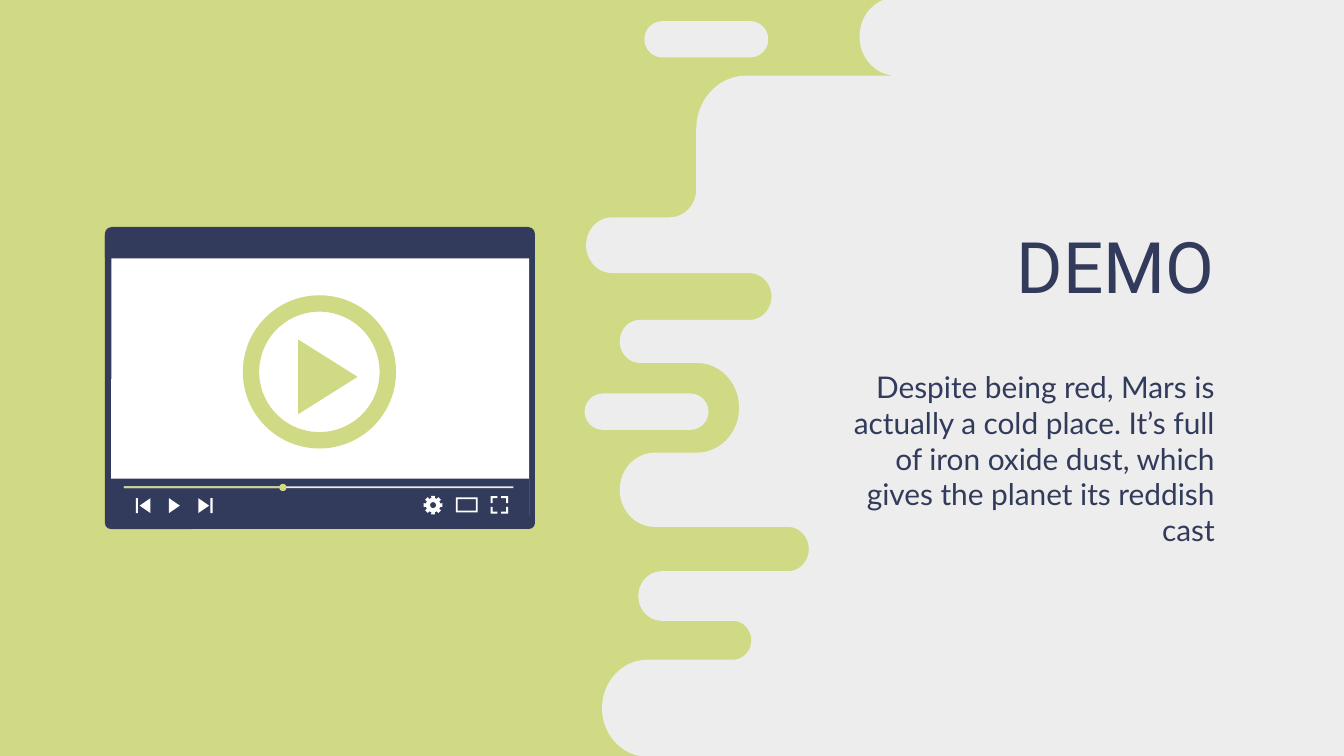
from math import cos, pi, sin
from pptx import Presentation
from pptx.dml.color import RGBColor
from pptx.enum import shapes as kinds, text as txt
from pptx.util import Pt

LIME = RGBColor(0xD0, 0xDA, 0x84)
GRAY = RGBColor(0xED, 0xED, 0xED)
NAVY = RGBColor(0x32, 0x3B, 0x5B)
WHITE = RGBColor(0xFF, 0xFF, 0xFF)
KIND = kinds.MSO_SHAPE

deck = Presentation()
deck.slide_width, deck.slide_height = Pt(720), Pt(405)
slide = deck.slides.add_slide(deck.slide_layouts[0])
slide.background.fill.solid()
slide.background.fill.fore_color.rgb = LIME


def paint(shape, color):
    shape.shadow.inherit = False
    shape.fill.solid()
    shape.fill.fore_color.rgb = color
    shape.line.fill.background()


def trace(color, *rings):
    rings = [[(Pt(x), Pt(y)) for x, y in ring] for ring in rings]
    pen = slide.shapes.build_freeform(*rings[0][0])
    for ring in rings:
        pen.move_to(*ring[0])
        pen.add_line_segments(ring[1:], close=True)
    paint(pen.convert_to_shape(), color)


bays = [
    (322.5, 405.4, 353.4, 26), (402.5, 353.4, 332.6, 10.4),
    (342, 332.6, 306, 13.3), (433.3, 306, 282.3, 11.8),
    (332, 282.3, 242.5, 19.9), (396, 242.5, 194.4, 24),
    (332, 194.4, 171.4, 11.5), (413.3, 171.4, 146.3, 12.5),
    (314, 146.3, 116.4, 14.9), (373, 116.4, 40.5, 15),
    (460.5, 40.5, -1.4, 20.8),
]
wave = [(734, -6.5), (734, 405.4)]
for i, (x, low, high, r) in enumerate(bays):
    side = 1 if i % 2 == 0 else -1
    top = 28.5 if x == 373 else r
    for y, rad, turn in ((low - r, r, 0), (high + top, top, 1)):
        if x == 373 and turn:
            side = 1
        for k in range(13):
            a = pi / 2 * (k / 12 + turn)
            wave.append((x + side * 0.94 * rad * (1 - sin(a)), y + rad * cos(a)))
trace(GRAY, wave)

R, B, O = KIND.ROUNDED_RECTANGLE, KIND.RECTANGLE, KIND.OVAL
parts = [
    (R, GRAY, 313.2, 210.8, 66.4, 19.5, 0.5),
    (R, GRAY, 345.2, 11.3, 66.4, 19.5, 0.5),
    (R, NAVY, 56.2, 123, 230.4, 160.4, 0.02),
    (R, WHITE, 59.6, 124, 223.8, 155.5, 0.02),
    (KIND.ROUND_2_SAME_RECTANGLE, NAVY, 56.2, 121.6, 230.4, 16.8, 0.22),
    (KIND.DONUT, LIME, 130.1, 158.2, 82.1, 82.1, 0.107),
    (B, NAVY, 59.2, 256.5, 224.4, 25.5, None),
    (B, GRAY, 66.4, 260.5, 208.6, 1, None),
    (B, LIME, 66.4, 260.5, 85.2, 1, None),
    (O, LIME, 149.6, 259.2, 3.9, 3.9, None),
    (B, WHITE, 72.8, 266.8, 1.2, 8.2, None),
    (B, WHITE, 112.8, 266.8, 1.2, 8.2, None),
    (KIND.FRAME, WHITE, 244.2, 266.5, 11.7, 8, 0.12),
]
for kind, color, x, y, w, h, bend in parts:
    part = slide.shapes.add_shape(kind, Pt(x), Pt(y), Pt(w), Pt(h))
    paint(part, color)
    if bend is not None:
        part.adjustments[0] = bend

for color, x, mid, w, h in (
    (LIME, 159.8, 201.9, 31.8, 40), (WHITE, 90.5, 270.9, 5.8, 8),
    (WHITE, 106.2, 270.9, 5.8, 8), (WHITE, 80.6, 270.9, -5.8, 8),
):
    trace(color, [(x, mid - h / 2), (x + w, mid), (x, mid + h / 2)])

cx, cy = 232, 270.6
teeth = []
for k in range(8):
    for turn, r in ((-11, 5.1), (-9, 3.9), (9, 3.9), (11, 5.1), (34, 5.1)):
        a = (k * 45 + turn + 22.5) * pi / 180
        teeth.append((cx + r * cos(a), cy + r * sin(a)))
hole = [(cx + 1.6 * cos(k * pi / 12), cy + 1.6 * sin(k * pi / 12)) for k in range(24)]
trace(WHITE, teeth, hole)

bend = [(1, 4.7), (4.7, 4.7), (4.7, 1), (3.6, 1), (3.6, 3.6), (1, 3.6)]
for sx in (-1, 1):
    for sy in (-1, 1):
        trace(WHITE, [(267.5 + sx * x, 270.5 + sy * y) for x, y in bend])

head, body = slide.placeholders
for box, words, top, tall, font in (
    (head, "DEMO", 112.3, 59.8, {"name": "Roboto", "size": Pt(38)}),
    (body, "Despite being red, Mars is actually a cold place. It’s full of iron oxide "
     "dust, which gives the planet its reddish cast", 198, 95,
     {"name": "Lato", "size": Pt(16)}),
):
    box.left, box.top, box.width, box.height = Pt(433.4), Pt(top), Pt(224.6), Pt(tall)
    frame = box.text_frame
    frame.text = words
    look = {"word_wrap": True, "auto_size": txt.MSO_AUTO_SIZE.NONE,
            "vertical_anchor": txt.MSO_ANCHOR.MIDDLE}
    for side in ("left", "right", "top", "bottom"):
        look["margin_" + side] = Pt(7.2)
    for key, val in look.items():
        setattr(frame, key, val)
    para = frame.paragraphs[0]
    para.alignment = txt.PP_ALIGN.RIGHT
    para.space_before = Pt(0)
    for key, val in font.items():
        setattr(para.font, key, val)
    para.font.color.rgb = NAVY
    box.element.getparent().append(box.element)

deck.save("out.pptx")
